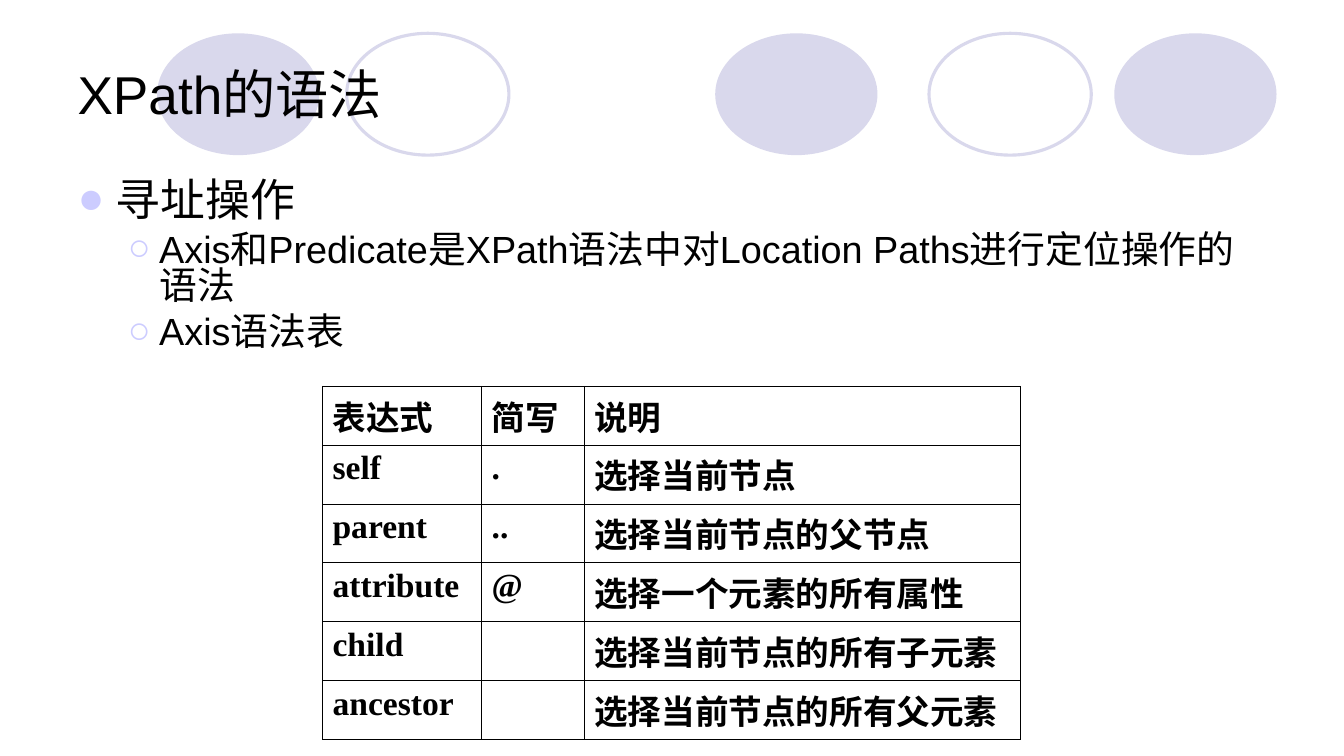
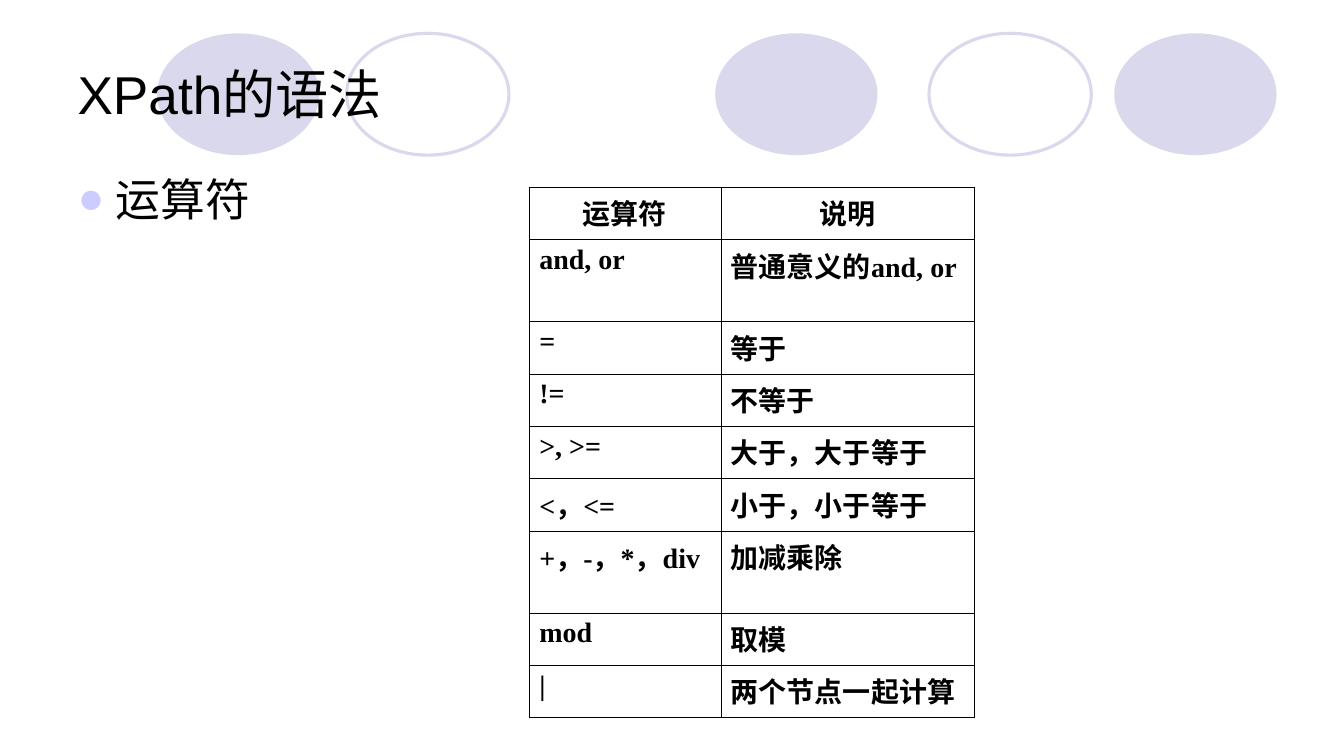
"""Build two slides on XPath syntax, each with a list and a ruled table."""
import pptx
import pptx.util
import pptx.dml.color
import pptx.enum.shapes
import pptx.enum.text
import pptx.oxml
import pptx.oxml.ns

Cm, Pt = pptx.util.Cm, pptx.util.Pt
ALIGN = pptx.enum.text.PP_ALIGN
NS = pptx.oxml.ns.nsdecls("a")
BLACK, LILAC, DOT = "000000", "D9D8EC", "CCCCFF"
OVALS = [(3.96, True), (8.74, False), (18.03, True), (23.42, False), (28.09, True)]
LEVELS = [
    {"size": 32, "gap": 8, "left": 0.97, "hang": -0.97, "mark": "●"},
    {"size": 27, "gap": 6.8, "left": 2.06, "hang": -0.79, "mark": "○"},
]
PAGES = [
    {
        "list": [
            (0, "寻址操作"),
            (1, "Axis和Predicate是XPath语法中对Location Paths进行定位操作的语法"),
            (1, "Axis语法表"),
        ],
        "at": (8.13, 9.73),
        "cols": [4.01, 2.59, 11],
        "rows": [1.27] * 6,
        "size": 24,
        "head": ALIGN.LEFT,
        "cells": [
            ("表达式", "简写", "说明"),
            ("self", ".", "选择当前节点"),
            ("parent", "..", "选择当前节点的父节点"),
            ("attribute", "@", "选择一个元素的所有属性"),
            ("child", "", "选择当前节点的所有子元素"),
            ("ancestor", "", "选择当前节点的所有父元素"),
        ],
    },
    {
        "list": [(0, "运算符")],
        "at": (13.34, 4.72),
        "cols": [4.83, 6.4],
        "rows": [1.32] * 6 + [1.96] + [1.32] * 2,
        "size": 20,
        "head": ALIGN.CENTER,
        "cells": [
            ("运算符", "说明"),
            ("and, or", "普通意义的and, or"),
            ("=", "等于"),
            ("!=", "不等于"),
            (">, >=", "大于，大于等于"),
            ("<，<=", "小于，小于等于"),
            ("+，-，*，div", "加减乘除"),
            ("mod", "取模"),
            ("|", "两个节点一起计算"),
        ],
    },
]


def paint(tint):
    return pptx.dml.color.RGBColor.from_string(tint)


def style(par, size, face, bold=False):
    for run in par.runs:
        run.font.size = Pt(size)
        run.font.name = face
        run.font.bold = bold
        run.font.color.rgb = paint(BLACK)


deck = pptx.Presentation()
deck.slide_width, deck.slide_height = Cm(33.88), Cm(19.05)

for page in PAGES:
    slide = deck.slides.add_slide(deck.slide_layouts[1])
    shapes = slide.shapes

    for left, solid in OVALS:
        oval = shapes.add_shape(pptx.enum.shapes.MSO_SHAPE.OVAL,
                                Cm(left), Cm(0.84), Cm(4.09), Cm(3.07))
        oval.shadow.inherit = False
        if solid:
            oval.fill.solid()
            oval.fill.fore_color.rgb = paint(LILAC)
            oval.line.fill.background()
        else:
            oval.fill.background()
            oval.line.color.rgb = paint(LILAC)
            oval.line.width = Pt(2.25)
        shapes.element.insert(2, oval.element)

    title, body = shapes.title, slide.placeholders[1]
    for box, top, height in [(title, 0.76, 3.18), (body, 4.45, 12.57)]:
        box.left, box.top = Cm(1.7), Cm(top)
        box.width, box.height = Cm(30.48), Cm(height)
        box.text_frame.auto_size = pptx.enum.text.MSO_AUTO_SIZE.NONE

    title.text_frame.text = "XPath的语法"
    title.text_frame.vertical_anchor = pptx.enum.text.MSO_ANCHOR.MIDDLE
    title.text_frame.paragraphs[0].alignment = ALIGN.LEFT
    style(title.text_frame.paragraphs[0], 38, "Arial")

    body.text_frame.text = "\n".join(text for _, text in page["list"])
    for num, par in enumerate(body.text_frame.paragraphs):
        par.level = page["list"][num][0]
        level = LEVELS[par.level]
        par.line_spacing = 0.8
        par.space_before = Pt(level["gap"] if num else 0)
        props = par._p.get_or_add_pPr()
        props.set("marL", str(Cm(level["left"])))
        props.set("indent", str(Cm(level["hang"])))
        for part in (f'<a:buClr {NS}><a:srgbClr val="{DOT}"/></a:buClr>',
                     f'<a:buFont {NS} typeface="Arial"/>',
                     f'<a:buChar {NS} char="{level["mark"]}"/>'):
            props.append(pptx.oxml.parse_xml(part))
        style(par, level["size"], "Arial")

    cols, rows = page["cols"], page["rows"]
    left, top = page["at"]
    grid = shapes.add_table(len(rows), len(cols), Cm(left), Cm(top),
                            Cm(sum(cols)), Cm(sum(rows))).table
    grid.first_row = grid.horz_banding = False
    for col, width in zip(grid.columns, cols):
        col.width = Cm(width)
    for row, height, texts in zip(grid.rows, rows, page["cells"]):
        row.height = Cm(height)
        for cell, text in zip(row.cells, texts):
            props = cell._tc.get_or_add_tcPr()
            for side in "LRTB":
                props.append(pptx.oxml.parse_xml(
                    f'<a:ln{side} {NS} w="{Pt(0.45)}"><a:solidFill>'
                    f'<a:srgbClr val="{BLACK}"/></a:solidFill></a:ln{side}>'))
            cell.fill.background()
            cell.text_frame.text = text
            par = cell.text_frame.paragraphs[0]
            par.alignment = page["head"] if texts is page["cells"][0] else ALIGN.LEFT
            props = par._p.get_or_add_pPr()
            props.set("marL", str(Cm(0.97)))
            props.set("indent", str(Cm(-0.97)))
            style(par, page["size"], "Times New Roman", True)

deck.save("out.pptx")
